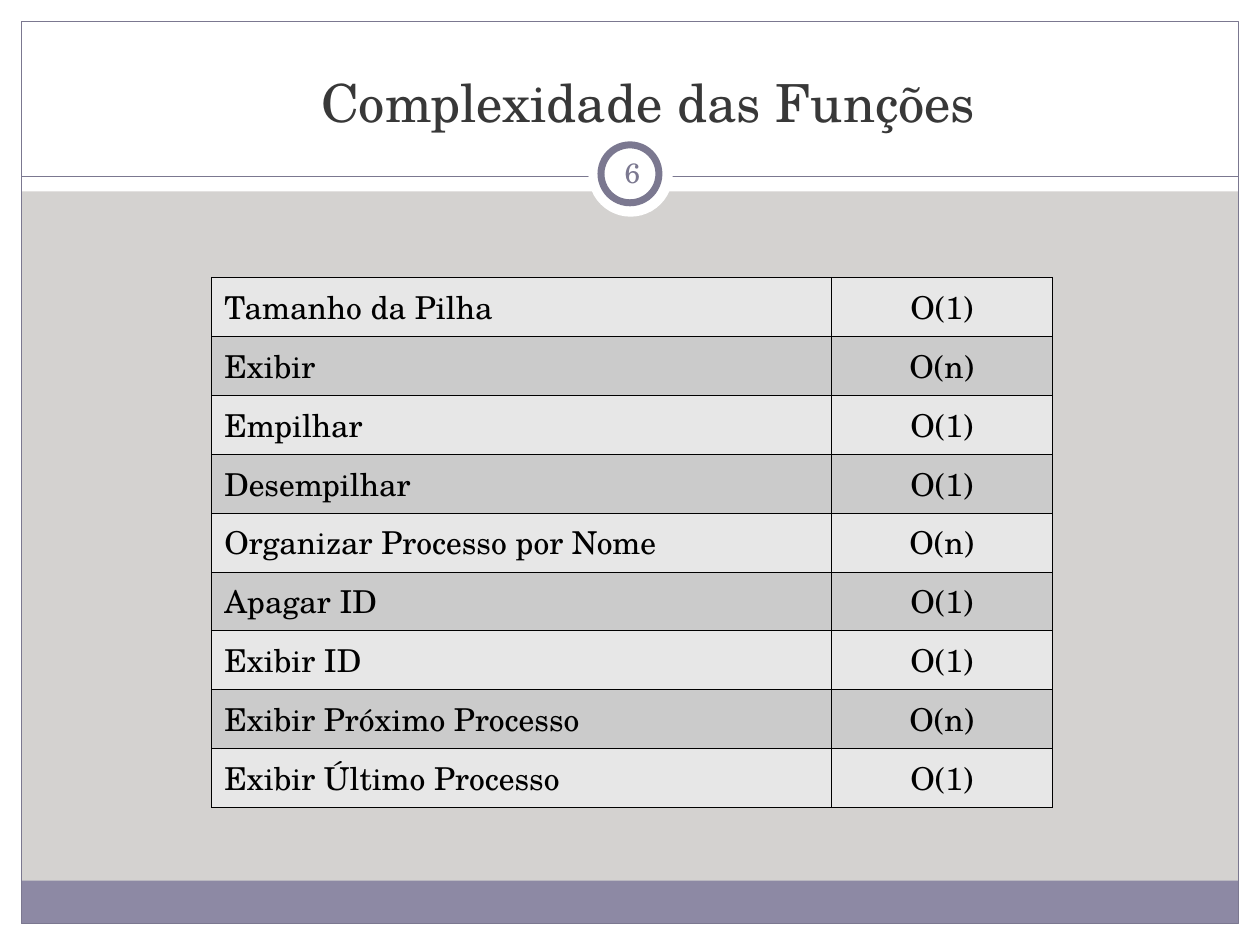
from typing import NamedTuple, Optional

from lxml.etree import SubElement
from pptx import Presentation
from pptx.dml.color import RGBColor
from pptx.enum.shapes import MSO_CONNECTOR, MSO_SHAPE
from pptx.enum.text import MSO_ANCHOR, PP_ALIGN
from pptx.oxml.ns import qn
from pptx.util import Emu, Pt

PX = 9144  # EMU per px, 100 px to the inch
FONT = "TeX Gyre Schola"
WHITE, ACCENT, BLACK = "FFFFFF", "7B7890", "000000"
BAND_FILLS = ("E7E7E7", "CBCBCB")


class Panel(NamedTuple):
    x: int
    y: int
    w: int
    h: int
    fill: Optional[str] = None
    line_pt: float = 0
    kind: MSO_SHAPE = MSO_SHAPE.RECTANGLE


class Label(NamedTuple):
    text: str
    x: int
    y: int
    w: int
    h: int
    size: int
    colour: str
    side_inset: int
    indent: int = 0
    anchor: MSO_ANCHOR = MSO_ANCHOR.TOP


class Cost(NamedTuple):
    function: str
    order: str


FRAME = [
    Panel(0, 733, 1000, 17, WHITE),
    Panel(0, 0, 1000, 152, WHITE),
    Panel(0, 0, 17, 750, WHITE),
    Panel(983, 0, 17, 750, WHITE),
    Panel(17, 699, 966, 34, "8D89A4"),
    Panel(17, 17, 966, 716, None, 0.75),
]
BADGE = [
    Panel(467, 105, 67, 67, WHITE, kind=MSO_SHAPE.OVAL),
    Panel(477, 115, 46, 46, WHITE, 4, MSO_SHAPE.OVAL),
]
LABELS = [
    Label("Complexidade das Funções", 228, 51, 567, 60, 30, "383838", 10, indent=6),
    Label("6", 477, 113, 50, 48, 16, ACCENT, 5, anchor=MSO_ANCHOR.MIDDLE),
]
COSTS = [
    Cost("Tamanho da Pilha", "O(1)"),
    Cost("Exibir", "O(n)"),
    Cost("Empilhar", "O(1)"),
    Cost("Desempilhar", "O(1)"),
    Cost("Organizar Processo por Nome", "O(n)"),
    Cost("Apagar ID", "O(1)"),
    Cost("Exibir ID", "O(1)"),
    Cost("Exibir Próximo Processo", "O(n)"),
    Cost("Exibir Último Processo", "O(1)"),
]


def px(n: int) -> Emu:
    return Emu(n * PX)


def rgb(colour: str) -> RGBColor:
    return RGBColor.from_string(colour)


def set_fill(fill, colour: Optional[str]) -> None:
    if colour is None:
        fill.background()
    else:
        fill.solid()
        fill.fore_color.rgb = rgb(colour)


def style_text(p, size: int, colour: str, align: PP_ALIGN) -> None:
    p.alignment = align
    p.font.name, p.font.size = FONT, Pt(size)
    p.font.color.rgb = rgb(colour)


def add_panel(s, d: Panel) -> None:
    sp = s.shapes.add_shape(d.kind, px(d.x), px(d.y), px(d.w), px(d.h))
    sp.shadow.inherit = False
    set_fill(sp.fill, d.fill)
    if d.line_pt:
        sp.line.width = Pt(d.line_pt)
        sp.line.color.rgb = rgb(ACCENT)
    else:
        sp.line.fill.background()


def add_rule(s, x1: int, x2: int, y: int) -> None:
    line = s.shapes.add_connector(MSO_CONNECTOR.STRAIGHT, px(x1), px(y), px(x2), px(y))
    line.line.width = Pt(0.75)
    line.line.color.rgb = rgb(ACCENT)
    SubElement(line._element.spPr, qn("a:effectLst"))


def add_label(s, d: Label) -> None:
    tf = s.shapes.add_textbox(px(d.x), px(d.y), px(d.w), px(d.h)).text_frame
    tf.word_wrap = True
    tf.vertical_anchor = d.anchor
    tf.margin_left = tf.margin_right = px(d.side_inset)
    tf.margin_top = tf.margin_bottom = px(5)
    p = tf.paragraphs[0]
    p.text = d.text
    if d.indent:
        p._p.get_or_add_pPr().set("marL", str(px(d.indent)))
    style_text(p, d.size, d.colour, PP_ALIGN.CENTER)


def add_borders(cell, colour: str, width_pt: float) -> None:
    tc_pr = cell._tc.get_or_add_tcPr()
    for side in ("a:lnL", "a:lnR", "a:lnT", "a:lnB"):
        ln = SubElement(tc_pr, qn(side), w=str(Pt(width_pt)))
        SubElement(SubElement(ln, qn("a:solidFill")), qn("a:srgbClr"), val=colour)


def add_cost_table(s, x: int, y: int, widths: tuple[int, int], height: int) -> None:
    frame = s.shapes.add_table(len(COSTS), 2, px(x), px(y), px(sum(widths)), px(height))
    table = frame.table
    table.first_row = table.horz_banding = False
    for column, width in zip(table.columns, widths):
        column.width = px(width)
    for i, cost in enumerate(COSTS):
        for j, align in enumerate((PP_ALIGN.LEFT, PP_ALIGN.CENTER)):
            cell = table.cell(i, j)
            cell.margin_left = cell.margin_right = px(10)
            cell.margin_top = cell.margin_bottom = px(5)
            cell.text = cost[j]
            style_text(cell.text_frame.paragraphs[0], 18, BLACK, align)
            add_borders(cell, BLACK, 0.45)  # borders must precede the fill
            set_fill(cell.fill, BAND_FILLS[i % 2])


def main() -> None:
    prs = Presentation()
    prs.slide_width, prs.slide_height = px(1000), px(750)
    s = prs.slides.add_slide(prs.slide_layouts[6])
    set_fill(s.background.fill, "D4D2D0")

    # Frame, header rule and number badge
    for panel in FRAME:
        add_panel(s, panel)
    add_rule(s, 17, 983, 140)
    for panel in BADGE:
        add_panel(s, panel)

    # Title and slide number
    for label in LABELS:
        add_label(s, label)

    # Complexity of each function
    add_cost_table(s, 168, 220, (492, 175), 421)
    prs.save("out.pptx")


if __name__ == "__main__":
    main()
